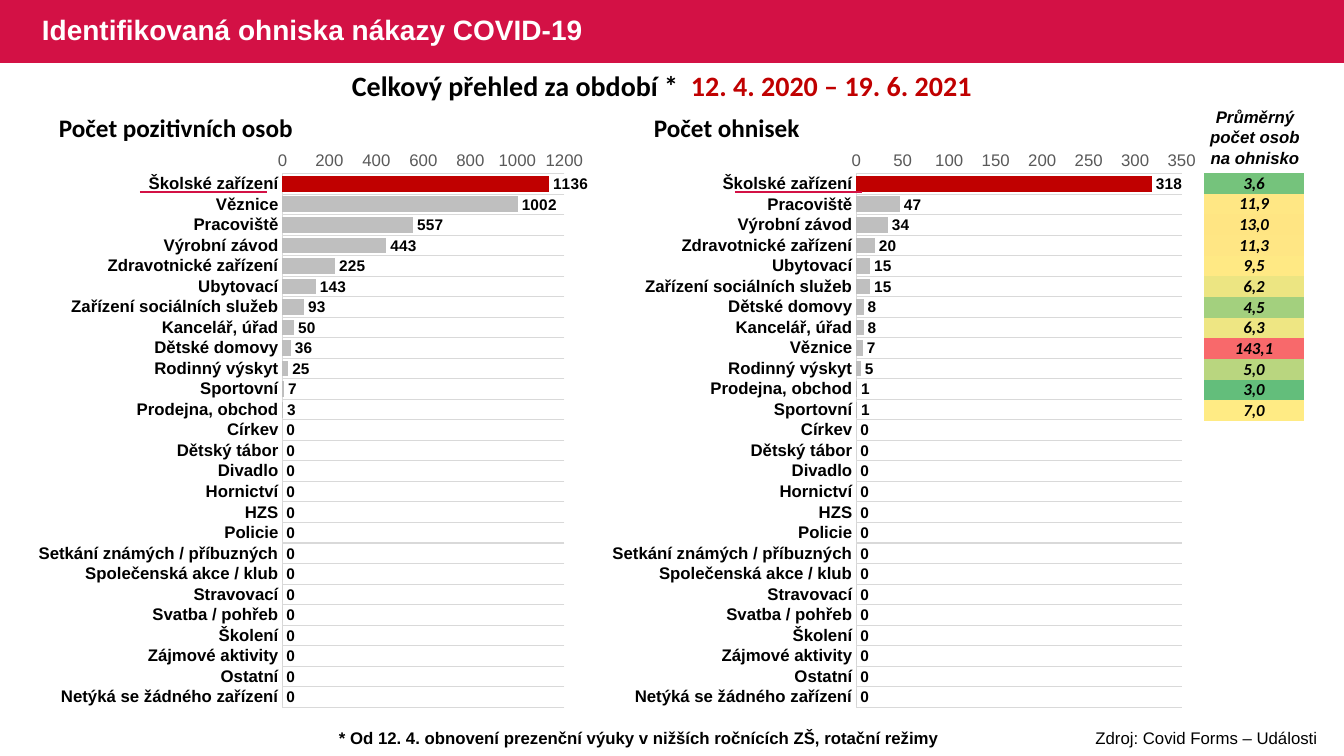
from dataclasses import dataclass
from lxml import etree
from pptx import Presentation, util as u
from pptx.chart.data import CategoryChartData
from pptx.dml.color import RGBColor
from pptx.enum import chart as ce, shapes, text
from pptx.oxml import ns, parse_xml

PX = 914400 / 100.8


@dataclass(frozen=True)
class Theme:
    band: str = "D31145"
    white: str = "FFFFFF"
    ink: str = "000000"
    hot: str = "C00000"
    bar: str = "BFBFBF"
    grid: str = "D9D9D9"
    axis: str = "595959"
    sans: str = "Arial"
    body: str = "Calibri"
    big: int = 20
    head: int = 18
    base: int = 12
    label: int = 11


T = Theme()
MID = text.PP_ALIGN.CENTER

# Data
TAIL = ["Církev", "Dětský tábor", "Divadlo", "Hornictví", "HZS", "Policie",
        "Setkání známých / příbuzných", "Společenská akce / klub", "Stravovací",
        "Svatba / pohřeb", "Školení", "Zájmové aktivity", "Ostatní",
        "Netýká se žádného zařízení"]
PEOPLE = {"Školské zařízení": 1136, "Věznice": 1002, "Pracoviště": 557,
          "Výrobní závod": 443, "Zdravotnické zařízení": 225, "Ubytovací": 143,
          "Zařízení sociálních služeb": 93, "Kancelář, úřad": 50,
          "Dětské domovy": 36, "Rodinný výskyt": 25, "Sportovní": 7,
          "Prodejna, obchod": 3}
SITES = {"Školské zařízení": 318, "Pracoviště": 47, "Výrobní závod": 34,
         "Zdravotnické zařízení": 20, "Ubytovací": 15,
         "Zařízení sociálních služeb": 15, "Dětské domovy": 8,
         "Kancelář, úřad": 8, "Věznice": 7, "Rodinný výskyt": 5,
         "Prodejna, obchod": 1, "Sportovní": 1}
MEANS = [("3,6", "75C37C"), ("11,9", "FFE784"), ("13,0", "FFE583"),
         ("11,3", "FFE684"), ("9,5", "FFE984"), ("6,2", "ECE582"),
         ("4,5", "A3D07E"), ("6,3", "EEE683"), ("143,1", "F8696B"),
         ("5,0", "B9D67F"), ("3,0", "63BE7B"), ("7,0", "FFEB84")]


def emu(*px):
    return [u.Emu(round(p * PX)) for p in px]


def apply(obj, **vals):
    for key, val in vals.items():
        setattr(obj, key, val)


def style(font, size, color=T.ink, name=T.sans, **more):
    apply(font, size=u.Pt(size), name=name, **more)
    font.color.rgb = RGBColor.from_string(color)


def stroke(line, color, width):
    line.color.rgb = RGBColor.from_string(color)
    line.width = u.Pt(width)


def label(slide, box, parts, size, align=None, wrap=True, anchor=None, space=None, **font):
    """Place one paragraph; parts holds (words, colour) pairs."""
    frame = slide.shapes.add_textbox(*emu(*box)).text_frame
    apply(frame, word_wrap=wrap, vertical_anchor=anchor)
    para = frame.paragraphs[0]
    apply(para, alignment=align, line_spacing=space)
    for words, color in parts:
        run = para.add_run()
        run.text = words
        style(run.font, size, color, **font)


def header(slide, box):
    x, y, w, h = box
    band = slide.shapes.add_shape(shapes.MSO_SHAPE.RECTANGLE, *emu(*box))
    band.shadow.inherit = False
    band.fill.solid()
    band.fill.fore_color.rgb = RGBColor.from_string(T.band)
    band.line.fill.background()
    label(slide, (x + 32, y, 859, h),
          [("Identifikovaná ohniska nákazy COVID-19", T.white)], T.big,
          anchor=text.MSO_ANCHOR.MIDDLE, space=0.9, bold=True)
    label(slide, (x + 319, y + h + 1, 686, 44),
          [("Celkový přehled za období *  ", T.ink),
           ("12. 4. 2020 – 19. 6. 2021", T.hot)],
          T.big, MID, name=T.body, bold=True)


def place(chart, left, width):
    """Fix the inner plot area as shares of the chart box."""
    area = chart._chartSpace.chart.plotArea
    for old in area.findall(ns.qn("c:layout")):
        area.remove(old)
    vals = dict(layoutTarget="inner", xMode="edge", yMode="edge",
                x=left, y=0.063, w=width, h=0.917)
    tags = "".join(f'<c:{k} val="{v}"/>' for k, v in vals.items())
    area.insert(0, parse_xml(f'<c:layout {ns.nsdecls("c")}><c:manualLayout>'
                             f'{tags}</c:manualLayout></c:layout>'))


def bars(slide, box, data, top, step, left, width):
    info = CategoryChartData()
    info.categories = [*data, *TAIL]
    info.add_series("Series 1", [*data.values()] + [0] * len(TAIL))
    chart = slide.shapes.add_chart(ce.XL_CHART_TYPE.BAR_CLUSTERED, *emu(*box), info).chart
    apply(chart, has_legend=False, has_title=False)
    style(chart.font, 10)
    place(chart, left, width)

    # Axes
    none = ce.XL_TICK_MARK.NONE
    cat, val = chart.category_axis, chart.value_axis
    for axis in (cat, val):
        apply(axis, major_tick_mark=none, minor_tick_mark=none)
    apply(cat, reverse_order=True, has_major_gridlines=True)
    style(cat.tick_labels.font, T.base, bold=True)
    for line in (cat.format.line, cat.major_gridlines.format.line):
        stroke(line, T.grid, 0.75)
    apply(val, has_major_gridlines=False, minimum_scale=0,
          maximum_scale=top, major_unit=step)
    style(val.tick_labels.font, T.base, T.axis, bold=False)
    val.format.line.fill.background()

    # Bars and their values
    plot = chart.plots[0]
    apply(plot, gap_width=30, overlap=100, vary_by_categories=False, has_data_labels=True)
    apply(plot.data_labels, show_value=True, position=ce.XL_LABEL_POSITION.OUTSIDE_END)
    style(plot.data_labels.font, T.label, bold=True)
    row = plot.series[0]
    for part, color in ((row, T.bar), (row.points[0], T.hot)):
        part.format.fill.solid()
        part.format.fill.fore_color.rgb = RGBColor.from_string(color)


def panel(slide, box, title, inset, rule, **spec):
    x, y, w, h = box
    bars(slide, box, **spec)
    label(slide, (x + inset, y - 30, 391, 40), [(title, T.ink)], T.head,
          name=T.body, bold=True)
    # Underline of the leading category
    start, level = x + rule, y + 55
    line = slide.shapes.add_connector(shapes.MSO_CONNECTOR.STRAIGHT,
                                      *emu(start, level, start + 127, level))
    stroke(line.line, T.band, 1)
    etree.SubElement(line._element.spPr, ns.qn("a:effectLst"))


def means(slide, box):
    x, y, w, h = box
    label(slide, (x - 7, y - 71, 116, 72), [("Průměrný počet osob na ohnisko", T.ink)],
          T.base, MID, bold=True, italic=True)
    count = len(MEANS) + len(TAIL)
    grid = slide.shapes.add_table(count, 1, *emu(*box)).table
    apply(grid, first_row=False, horz_banding=False)
    grid._tbl.tblPr.find(ns.qn("a:tableStyleId")).text = "{2D5ABB26-0587-4C30-8999-92F81FD0307C}"
    side, flat = emu(1, 0)
    for i, (words, color) in enumerate(MEANS + [("", None)] * len(TAIL)):
        grid.rows[i].height = emu(h / count)[0]
        cell = grid.cell(i, 0)
        apply(cell, margin_left=side, margin_right=side, margin_top=flat,
              margin_bottom=flat, vertical_anchor=text.MSO_ANCHOR.MIDDLE)
        para = cell.text_frame.paragraphs[0]
        para.alignment = MID
        if not words:
            cell.fill.background()
            etree.SubElement(para._p, ns.qn("a:endParaRPr"), sz=str(T.base * 100))
            continue
        cell.fill.solid()
        cell.fill.fore_color.rgb = RGBColor.from_string(color)
        run = para.add_run()
        run.text = words
        style(run.font, T.base, name=T.body, bold=True, italic=True)


def footer(slide, box):
    x, y, w, h = box
    label(slide, (x + 329, y, 632, h),
          [("* Od 12. 4. obnovení prezenční výuky v nižších ročnících ZŠ, rotační režimy", T.ink)],
          T.base, wrap=False, bold=True)
    label(slide, (x + w - 272, y, 269, h), [("Zdroj: Covid Forms – Události", T.ink)], T.base, MID)


def main():
    deck = Presentation()
    deck.slide_width, deck.slide_height = emu(1344, 756)
    slide = deck.slides.add_slide(deck.slide_layouts[6])
    header(slide, (0, 0, 1344, 63))
    panel(slide, (0, 137, 596, 582), "Počet pozitivních osob", 49, 140,
          data=PEOPLE, top=1200, step=200, left=0.474, width=0.473)
    panel(slide, (609, 137, 596, 582), "Počet ohnisek", 35, 126,
          data=SITES, top=350, step=50, left=0.415, width=0.546)
    means(slide, (1204, 173, 100, 538))
    footer(slide, (0, 723, 1344, 30))
    deck.save("out.pptx")


if __name__ == "__main__":
    main()
